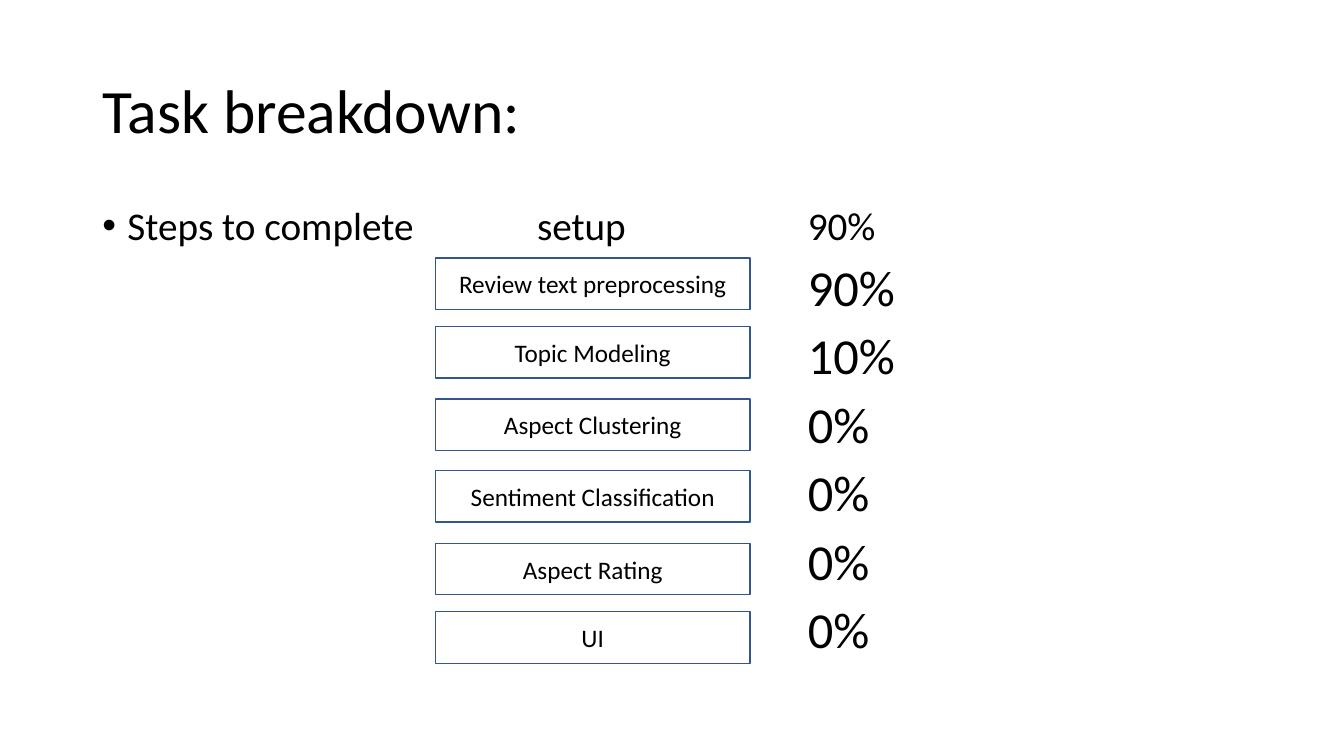
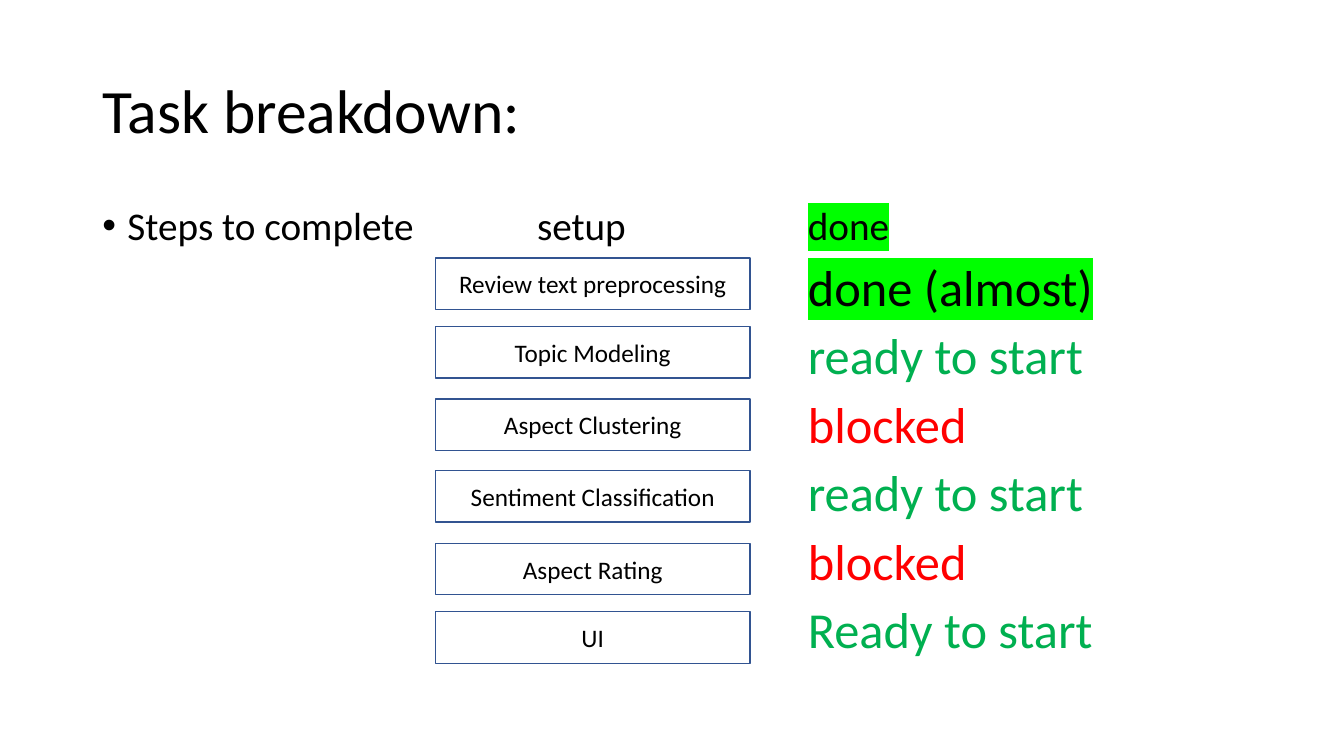
"""Build two slides that show the steps of a project and their progress."""
from dataclasses import dataclass
from lxml.etree import SubElement
from pptx import Presentation
from pptx.dml.color import RGBColor as RGB
from pptx.enum.shapes import MSO_SHAPE as Shape
from pptx.enum.text import MSO_ANCHOR as Anchor, MSO_AUTO_SIZE as Fit, PP_ALIGN as Align
from pptx.oxml import parse_xml
from pptx.oxml.ns import nsdecls, qn
from pptx.util import Pt


@dataclass(frozen=True)
class Theme:
    font: str = "Calibri"
    ink: str = "000000"
    paper: str = "FFFFFF"
    edge: str = "325491"
    ready: str = "00B050"
    stop: str = "FF0000"
    mark: str = "00FF00"
    title: int = 44
    large: int = 36
    head: int = 28
    label: int = 18


THEME = Theme()
TOP = 144
STEPS = (
    ("Review text preprocessing", 184.3),
    ("Topic Modeling", 233.3),
    ("Aspect Clustering", 285.1),
    ("Sentiment Classification", 336.2),
    ("Aspect Rating", 388.1),
    ("UI", 437),
)
SHARES = ("90%", "90%", "10%", "0%", "0%", "0%", "0%")
STATES = ("done", "done (almost)", "ready to start", "blocked",
          "ready to start", "blocked", "Ready to start")


def style(par, size, ink=THEME.ink):
    for run in par.runs:
        run.font.name = THEME.font
        run.font.size = Pt(size)
        run.font.color.rgb = RGB.from_string(ink)


def space(par, before=10):
    par.line_spacing = 0.9
    par.space_before = Pt(before)


def bullet(par):
    props = par._p.get_or_add_pPr()
    props.set("marL", str(Pt(18)))
    props.set("indent", str(Pt(-18)))
    SubElement(props, qn("a:buFont"), typeface="Arial")
    SubElement(props, qn("a:buChar"), char="\u2022")


def mark(par):
    for run in par.runs:
        fill = run._r.get_or_add_rPr().find(qn("a:solidFill"))
        fill.addnext(parse_xml(
            f'<a:highlight {nsdecls("a")}><a:srgbClr val="{THEME.mark}"/></a:highlight>'))


def add_title(slide, text):
    title = slide.shapes.title
    title.left, title.top, title.width, title.height = Pt(66), Pt(28.8), Pt(828), Pt(104.4)
    frame = title.text_frame
    frame.text = text
    frame.auto_size = Fit.NONE
    frame.vertical_anchor = Anchor.MIDDLE
    par = frame.paragraphs[0]
    par.alignment = Align.LEFT
    space(par, 0)
    style(par, THEME.title)


def add_list(slide, left, width, height, lines):
    box = slide.shapes.add_textbox(Pt(left), Pt(TOP), Pt(width), Pt(height))
    frame = box.text_frame
    frame.word_wrap = True
    frame.text = "\n".join(lines)
    for row, par in enumerate(frame.paragraphs):
        space(par)
        style(par, THEME.large if row else THEME.head)
    return frame.paragraphs


def add_step(slide, name, top):
    box = slide.shapes.add_shape(Shape.RECTANGLE, Pt(311), Pt(top), Pt(224.8), Pt(36.8))
    box.shadow.inherit = False
    box.fill.solid()
    box.fill.fore_color.rgb = RGB.from_string(THEME.paper)
    box.line.color.rgb = RGB.from_string(THEME.edge)
    box.line.width = Pt(1)
    frame = box.text_frame
    frame.text = name
    frame.vertical_anchor = Anchor.MIDDLE
    par = frame.paragraphs[0]
    par.alignment = Align.CENTER
    style(par, THEME.label)


def paint(pars):
    tones = {"ready to start": THEME.ready, "blocked": THEME.stop}
    for par in pars:
        tone = tones.get(par.text.lower())
        if tone:
            style(par, THEME.large, tone)
        elif par.text.startswith("done"):
            mark(par)


def add_slide(deck, notes):
    slide = deck.slides.add_slide(deck.slide_layouts[5])
    add_title(slide, "Task breakdown:")
    bullet(add_list(slide, 66, 260, 40, ["Steps to complete"])[0])
    add_list(slide, 376.5, 120, 40, ["setup"])
    paint(add_list(slide, 570, 324, 342.7, notes))
    for name, top in STEPS:
        add_step(slide, name, top)


def main():
    deck = Presentation()
    deck.slide_width, deck.slide_height = Pt(960), Pt(540)
    for notes in (SHARES, STATES):
        add_slide(deck, notes)
    deck.save("out.pptx")


main()
